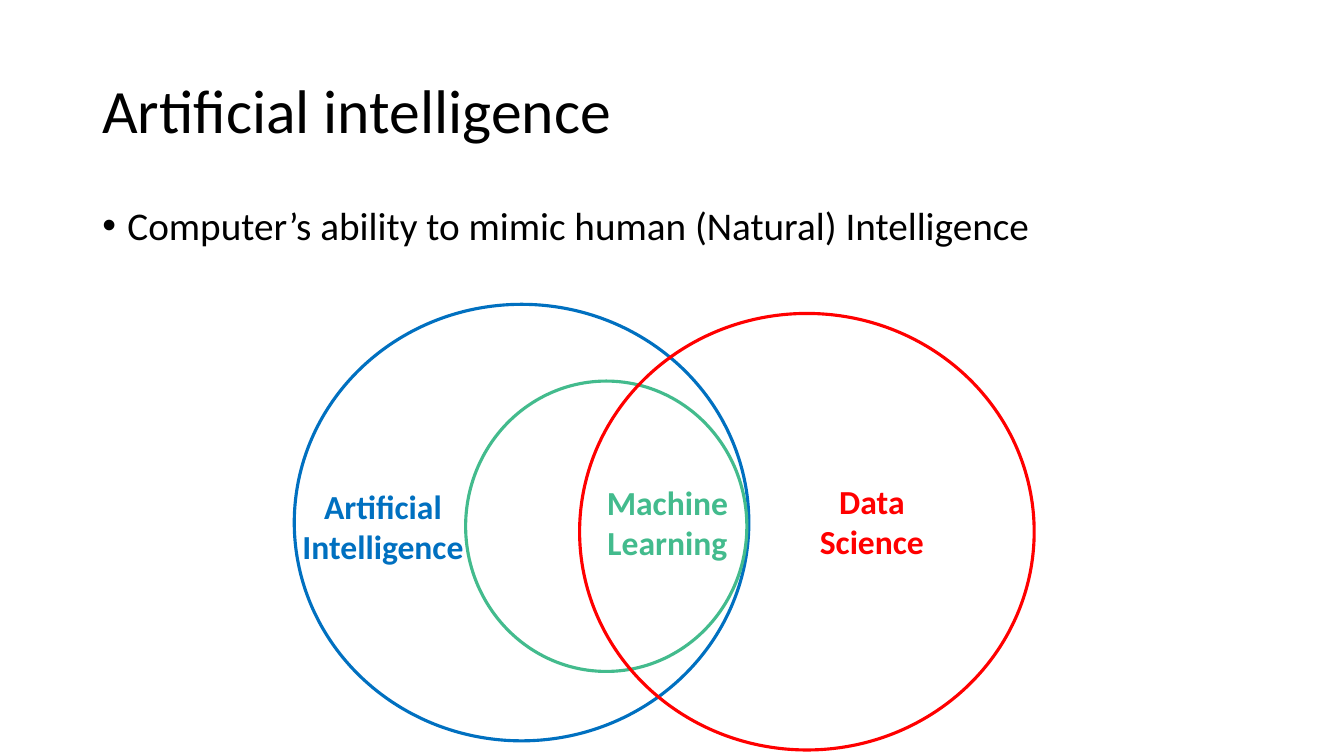
import pptx
import pptx.dml.color
import pptx.enum.shapes
import pptx.enum.text
import pptx.oxml.ns
import pptx.util
from lxml import etree

Pt = pptx.util.Pt
RGB = pptx.dml.color.RGBColor
ALIGN = pptx.enum.text.PP_ALIGN
ANCHOR = pptx.enum.text.MSO_ANCHOR

BLACK = RGB(0x00, 0x00, 0x00)
BLUE = RGB(0x00, 0x70, 0xC0)
GREEN = RGB(0x43, 0xBB, 0x8D)
RED = RGB(0xFF, 0x00, 0x00)


def apply(target, values):
    for name, value in values.items():
        setattr(target, name, value)


class Deck:
    """Draws styled text and circles on the current slide."""

    font = "Calibri"
    stroke = Pt(2.25)

    def __init__(self, slide):
        self.slide = slide

    def text(self, words, box, font, para, anchor=ANCHOR.TOP):
        frame = self.slide.shapes.add_textbox(*map(Pt, box)).text_frame
        apply(frame, {"word_wrap": True, "vertical_anchor": anchor})
        line = frame.paragraphs[0]
        apply(line, para)
        run = line.add_run()
        run.text = words
        apply(run.font, {"name": self.font, **font})
        run.font.color.rgb = font_color(font)
        return line

    def title(self, words, box):
        self.text(words, box, {"size": Pt(44)}, {"line_spacing": 0.9}, ANCHOR.MIDDLE)

    def bullet(self, words, box):
        para = {"line_spacing": 0.9, "space_before": Pt(10)}
        line = self.text(words, box, {"size": Pt(28)}, para)
        props = line._p.get_or_add_pPr()
        props.set("marL", str(Pt(18)))
        props.set("indent", str(-Pt(18)))
        qn = pptx.oxml.ns.qn
        etree.SubElement(props, qn("a:buFont")).set("typeface", "Arial")
        etree.SubElement(props, qn("a:buChar")).set("char", "•")

    def label(self, words, box, color):
        line = self.text(words, box, {"size": Pt(24), "bold": True}, {"alignment": ALIGN.CENTER})
        line.runs[0].font.color.rgb = color

    def circle(self, box, color):
        kind = pptx.enum.shapes.MSO_SHAPE.OVAL
        shape = self.slide.shapes.add_shape(kind, *map(Pt, box))
        shape.shadow.inherit = False
        shape.fill.background()
        shape.line.color.rgb = color
        shape.line.width = self.stroke


def font_color(font):
    return BLACK


def main():
    show = pptx.Presentation()
    apply(show, {"slide_width": Pt(960), "slide_height": Pt(540)})
    deck = Deck(show.slides.add_slide(show.slide_layouts[6]))
    deck.title("Artificial intelligence", (66, 28.8, 828, 104.4))
    deck.bullet("Computer’s ability to mimic human (Natural) Intelligence", (66, 144, 828, 342.7))
    fields = [
        ("Artificial Intelligence", BLUE, (210.2, 217.4, 324.7, 311.8), (204.5, 343.4, 138.2, 65.5)),
        ("Machine Learning", GREEN, (332.6, 272.2, 200.9, 207.4), (419.8, 340.6, 113.8, 65.5)),
        ("Data Science", RED, (414, 223.9, 324.7, 311.8), (553.7, 339.8, 138.2, 65.5)),
    ]
    for words, color, ring, box in fields:
        deck.circle(ring, color)
        deck.label(words, box, color)
    show.save("out.pptx")


if __name__ == "__main__":
    main()
